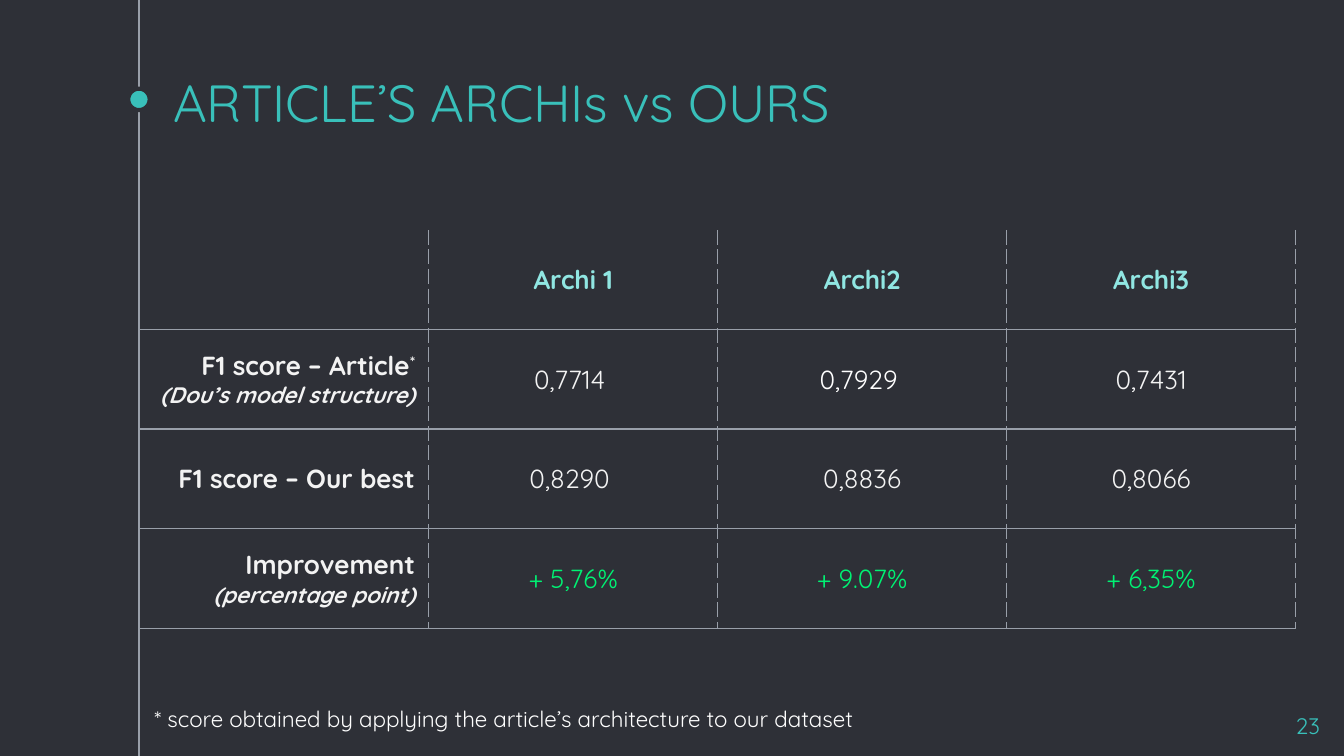
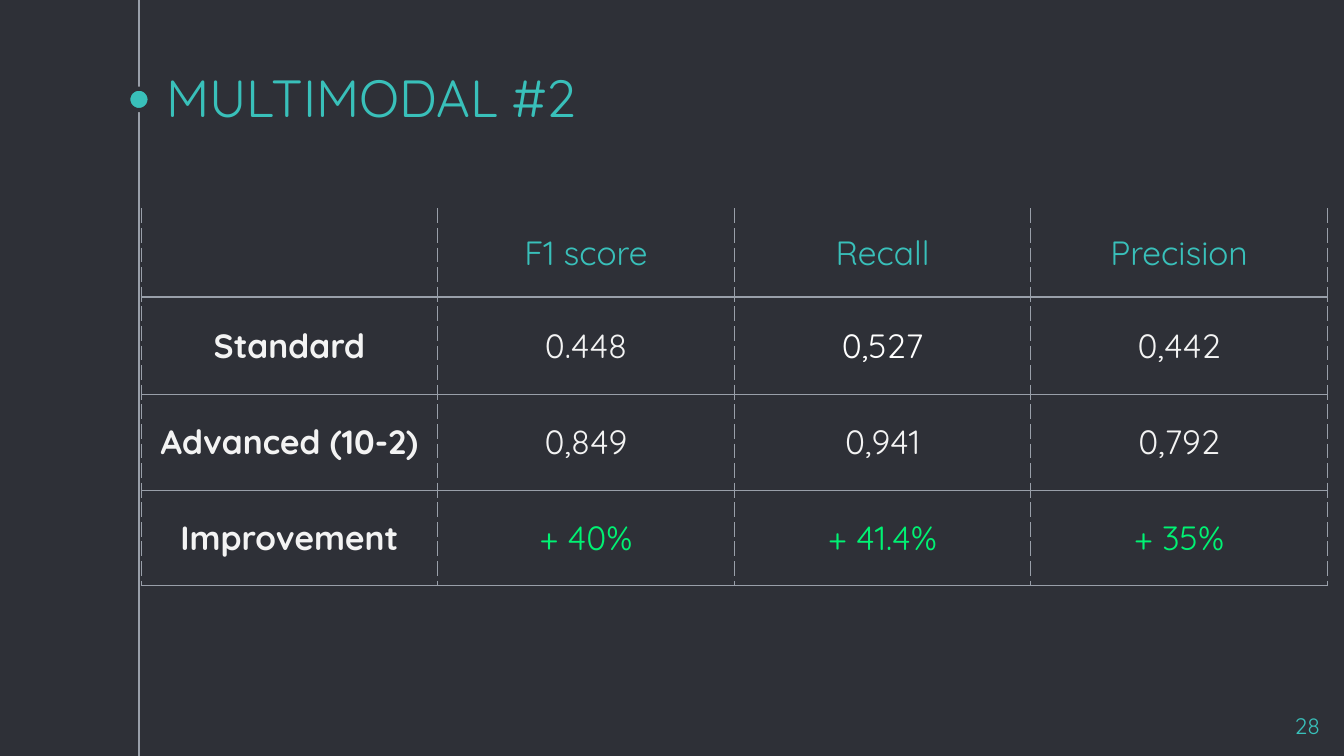
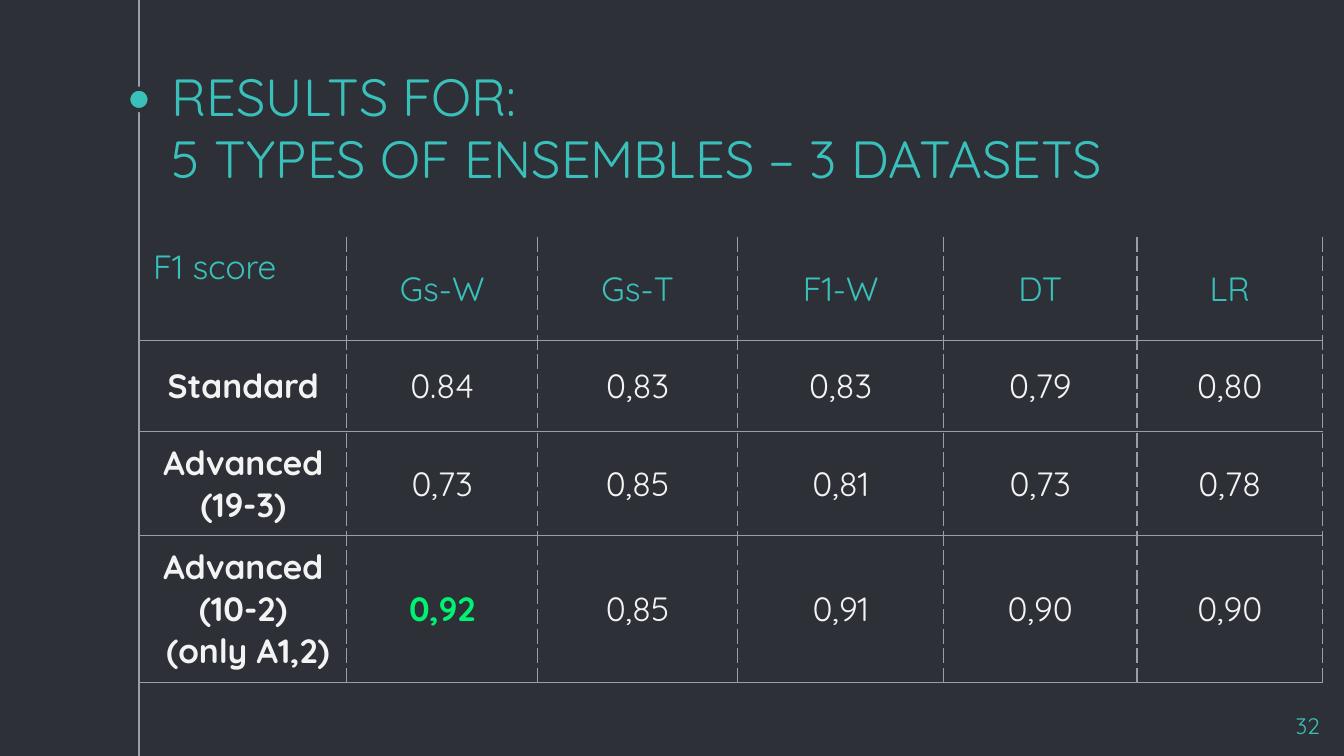
import pptx
import pptx.dml.color
import pptx.enum.shapes
import pptx.enum.text
import pptx.oxml.ns
import pptx.util
from lxml import etree

Pt = pptx.util.Pt
ALIGN = pptx.enum.text.PP_ALIGN
ANCHOR = pptx.enum.text.MSO_ANCHOR
FONT = "Quicksand"
COLORS = {
    "background": "2E3037",
    "teal": "39C0BA",
    "aqua": "90E6E2",
    "rule": "999FA9",
    "light": "F3F3F3",
    "white": "FFFFFF",
    "gain": "00F273",
}
NOTE_STYLE = {"size": 12, "italic": True}

SLIDES = [
    {
        "title": "ARTICLE’S ARCHIs vs OURS",
        "title_area": (85.7, 51.1, 540, 27.4),
        "number": "23",
        "footnote": "* score obtained by applying the article’s architecture to our dataset",
        "table_corner": (74.9, 123.1),
        "columns": [154.8] * 4,
        "rows": [53.4] * 4,
        "size": 14,
        "header_style": {"color": "aqua", "bold": True},
        "label_align": ALIGN.RIGHT,
        "cells": [
            ["", "Archi 1", "Archi2", "Archi3"],
            [
                [
                    [("F1 score – Article", {}), ("*", {"raised": True})],
                    [("(Dou’s model structure)", NOTE_STYLE)],
                ],
                "0,7714 ", "0,7929 ", "0,7431",
            ],
            ["F1 score – Our best", "0,8290 ", "0,8836", "0,8066"],
            [
                [[("Improvement ", {}), ("(percentage point)", NOTE_STYLE)]],
                "+ 5,76%", "+ 9.07%", "+ 6,35%",
            ],
        ],
        "accents": {(1, 2): {"color": "white"}},
    },
    {
        "title": "MULTIMODAL #2",
        "title_area": (82.1, 49, 574.6, 26.6),
        "number": "28",
        "table_corner": (75.6, 111.6),
        "columns": [158.9] * 4,
        "rows": [47.5, 52.3, 51.2, 51.2],
        "size": 18,
        "header_style": {"color": "teal"},
        "label_align": ALIGN.CENTER,
        "cells": [
            ["", "F1 score", "Recall", "Precision"],
            ["Standard", "0.448", "0,527", "0,442"],
            ["Advanced (10-2)", "0,849", "0,941", "0,792"],
            ["Improvement", "+ 40%", "+ 41.4%", "+ 35%"],
        ],
        "accents": {(1, 2): {"color": "white"}},
    },
    {
        "title": "RESULTS FOR: \v5 TYPES OF ENSEMBLES – 3 DATASETS",
        "title_area": (85, 58.3, 622.8, 50.4),
        "number": "32",
        "table_corner": (74.9, 126.8),
        "columns": [110.9, 102.2, 107.3, 110.2, 103.7, 99.4],
        "rows": [55.7, 48.9, 55.7, 78.6],
        "size": 18,
        "header_style": {"color": "teal"},
        "label_align": ALIGN.CENTER,
        "cells": [
            ["F1 score", "Gs-W", "Gs-T", "F1-W", "DT", "LR"],
            ["Standard", "0.84", "0,83", "0,83", "0,79", "0,80"],
            ["Advanced (19-3)", "0,73", "0,85", "0,81", "0,73", "0,78"],
            ["Advanced (10-2)\v (only A1,2)", "0,92", "0,85", "0,91", "0,90", "0,90"],
        ],
        "accents": {(3, 1): {"color": "gain", "bold": True}},
    },
]


def rgb(name):
    return pptx.dml.color.RGBColor.from_string(COLORS[name])


def style_font(font, size, color, bold=False, italic=False, raised=False):
    font.name = FONT
    font.size = Pt(size)
    font.bold = bold
    font.italic = italic
    font.color.rgb = rgb(color)
    if raised:
        font._element.set("baseline", "30000")


def add_text(page, text, area, size, color, inset=(7.2, 7.2),
             align=ALIGN.LEFT, anchor=ANCHOR.TOP):
    box = page.shapes.add_textbox(*map(Pt, area))
    frame = box.text_frame
    frame.word_wrap = True
    frame.vertical_anchor = anchor
    frame.margin_left = frame.margin_right = Pt(inset[0])
    frame.margin_top = frame.margin_bottom = Pt(inset[1])
    frame.text = text
    para = frame.paragraphs[0]
    para.alignment = align
    for span in para.runs:
        style_font(span.font, size, color)


def add_timeline(page):
    rail = page.shapes.add_connector(
        pptx.enum.shapes.MSO_CONNECTOR.STRAIGHT, Pt(74.4), 0, Pt(74.4), Pt(405))
    rail.line.color.rgb = rgb("rule")
    rail.line.width = Pt(0.75)
    etree.SubElement(rail._element.spPr, pptx.oxml.ns.qn("a:effectLst"))
    dot = page.shapes.add_shape(
        pptx.enum.shapes.MSO_SHAPE.OVAL, Pt(68.7), Pt(47.5), Pt(11.5), Pt(11.5))
    dot.shadow.inherit = False
    dot.fill.solid()
    dot.fill.fore_color.rgb = rgb("teal")
    dot.line.color.rgb = rgb("background")
    dot.line.width = Pt(2.25)


def add_border(cell, side, dash):
    qn = pptx.oxml.ns.qn
    line = etree.SubElement(cell._tc.get_or_add_tcPr(), qn("a:ln" + side), w=str(Pt(0.75)))
    if dash is None:
        etree.SubElement(line, qn("a:noFill"))
        return
    fill = etree.SubElement(line, qn("a:solidFill"))
    etree.SubElement(fill, qn("a:srgbClr"), val=COLORS["rule"])
    etree.SubElement(line, qn("a:prstDash"), val=dash)


def cell_style(content, row, column, value):
    style = {"size": content["size"], "color": "light"}
    if row == 0:
        style.update(content["header_style"])
    elif column == 0:
        style["bold"] = True
    elif value.startswith("+"):
        style["color"] = "gain"
    return {**style, **content["accents"].get((row, column), {})}


def fill_cell(cell, value, style, align):
    frame = cell.text_frame
    paragraphs = [[(value, {})]] if isinstance(value, str) else value
    for index, spans in enumerate(paragraphs):
        para = frame.add_paragraph() if index else frame.paragraphs[0]
        para.alignment = align
        if len(spans) == 1:
            para.text = spans[0][0]
            for span in para.runs:
                style_font(span.font, **{**style, **spans[0][1]})
            continue
        for text, extra in spans:
            span = para.add_run()
            span.text = text
            style_font(span.font, **{**style, **extra})


def add_score_table(page, content):
    columns, rows = content["columns"], content["rows"]
    area = (*content["table_corner"], sum(columns), sum(rows))
    table = page.shapes.add_table(len(rows), len(columns), *map(Pt, area)).table
    table.first_row = table.horz_banding = False
    for column, width in zip(table.columns, columns):
        column.width = Pt(width)
    for row, height in zip(table.rows, rows):
        row.height = Pt(height)
    for r, values in enumerate(content["cells"]):
        for c, value in enumerate(values):
            cell = table.cell(r, c)
            corner = r == c == 0
            cell.vertical_anchor = ANCHOR.TOP if corner else ANCHOR.MIDDLE
            cell.margin_left = cell.margin_right = Pt(7.2)
            cell.margin_top = cell.margin_bottom = Pt(5)
            borders = {"L": "dash", "R": "dash", "T": "solid" if r else None, "B": "solid"}
            for side, dash in borders.items():
                add_border(cell, side, dash)
            cell.fill.background()
            align = ALIGN.CENTER
            if corner:
                align = ALIGN.LEFT
            elif c == 0:
                align = content["label_align"]
            if value:
                fill_cell(cell, value, cell_style(content, r, c, value), align)


def main():
    deck = pptx.Presentation()
    deck.slide_width, deck.slide_height = Pt(720), Pt(405)
    backdrop = deck.slide_master.background.fill
    backdrop.solid()
    backdrop.fore_color.rgb = rgb("background")
    for content in SLIDES:
        page = deck.slides.add_slide(deck.slide_layouts[6])
        add_timeline(page)
        add_text(page, content["title"], content["title_area"], 28, "teal",
                 anchor=ANCHOR.BOTTOM)
        add_score_table(page, content)
        add_text(page, content["number"], (671, 374.4, 43.2, 24.5), 12, "teal",
                 align=ALIGN.RIGHT)
        if "footnote" in content:
            add_text(page, content["footnote"], (75.6, 374.4, 522, 21.8), 12, "white",
                     inset=(7.2, 3.6))
    deck.save("out.pptx")


if __name__ == "__main__":
    main()
